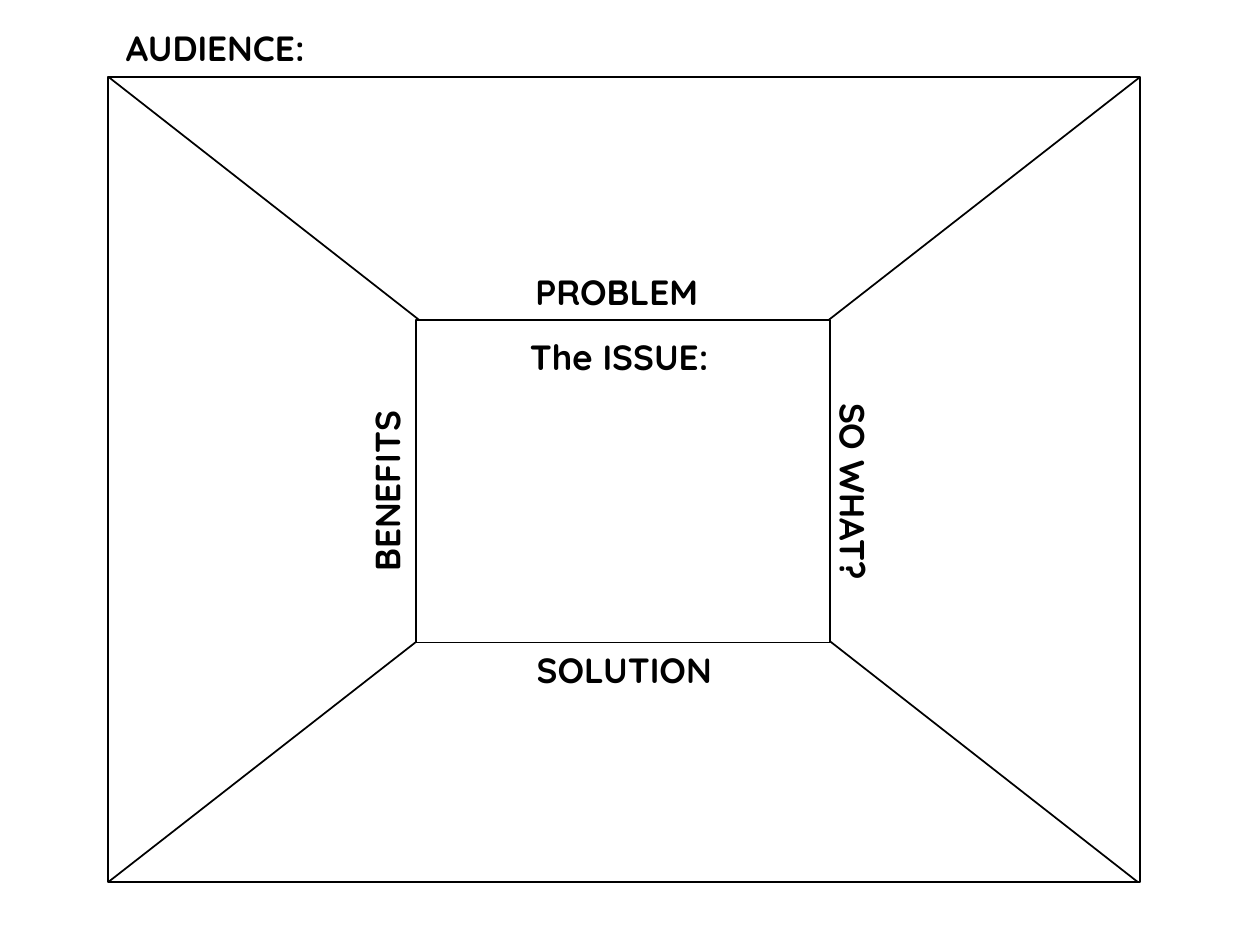
from pptx import Presentation
from pptx.dml.color import RGBColor
from pptx.enum.shapes import MSO_CONNECTOR as LINE, MSO_SHAPE as SHAPE
from pptx.enum.text import MSO_AUTO_SIZE as FIT, PP_ALIGN as ALIGN
from pptx.util import Inches, Pt
from lxml.etree import SubElement
from pptx.oxml.ns import qn

BLACK = RGBColor(0, 0, 0)
WHITE = RGBColor(255, 255, 255)
FONT = "Quicksand"
TEXT_H = 0.44


def add_frame(slide, box, fill=None):
    frame = slide.shapes.add_shape(SHAPE.RECTANGLE, *map(Inches, box))
    frame.shadow.inherit = False
    if fill is None:
        frame.fill.background()
    else:
        frame.fill.solid()
        frame.fill.fore_color.rgb = fill
    frame.line.color.rgb = BLACK
    frame.line.width = Pt(1)


def add_line(slide, start, end):
    line = slide.shapes.add_connector(
        LINE.STRAIGHT, *map(Inches, (*start, *end)))
    line.line.color.rgb = BLACK
    line.line.width = Pt(1)
    SubElement(line._element.spPr, qn("a:effectLst"))


def add_label(slide, text, left, top, width, turn=0, align=ALIGN.CENTER):
    label = slide.shapes.add_textbox(
        *map(Inches, (left, top, width, TEXT_H)))
    label.rotation = turn
    frame = label.text_frame
    frame.word_wrap = True
    frame.auto_size = FIT.SHAPE_TO_FIT_TEXT
    frame.text = text
    para = frame.paragraphs[0]
    para.alignment = align
    font = para.runs[0].font
    font.name = FONT
    font.size = Pt(20)
    font.bold = True
    font.color.rgb = BLACK


def add_room(slide, box):
    """Outer frame with its two diagonals."""
    left, top, width, height = box
    right, base = left + width, top + height
    add_frame(slide, box)
    add_line(slide, (left, top), (right - 0.02, base))
    add_line(slide, (right, top), (left, base))


def add_core(slide, box):
    """Central panel, its heading and the labels on its four sides."""
    left, top, width, height = box
    add_frame(slide, box, WHITE)

    # Labels above, below and inside
    wide = 4.13
    add_label(slide, "PROBLEM", left - 0.47, top - TEXT_H, wide)
    add_label(slide, "SOLUTION", left - 0.41, top + height, wide)

    # Turned labels at the sides
    tall = 3.19
    mid = top + (height - TEXT_H) / 2 + 0.08
    for text, center, turn in (("SO WHAT?", left + width + 0.18, 90),
                               ("BENEFITS", left - 0.23, 270)):
        add_label(slide, text, center - tall / 2, mid, tall, turn)

    add_label(slide, "The ISSUE:", left - 0.45, top + 0.07, wide)


def main():
    deck = Presentation()
    deck.slide_width, deck.slide_height = Inches(10), Inches(7.5)
    slide = deck.slides.add_slide(deck.slide_layouts[6])
    add_room(slide, (0.86, 0.61, 8.19, 6.39))
    add_core(slide, (3.3, 2.54, 3.29, 2.56))
    add_label(slide, "AUDIENCE:", 0.9, 0.16, 2.74, align=ALIGN.LEFT)
    deck.save("out.pptx")


if __name__ == "__main__":
    main()
